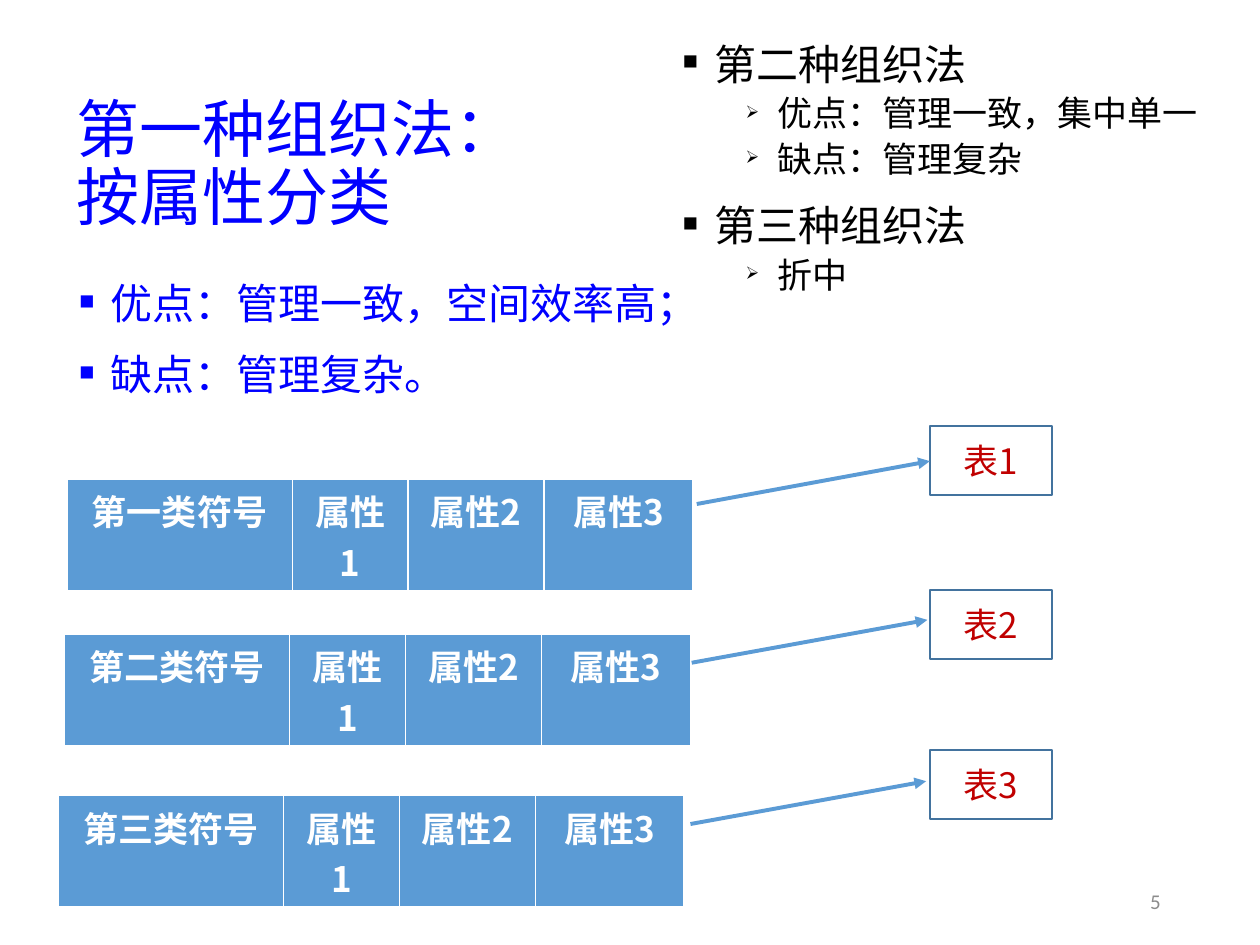
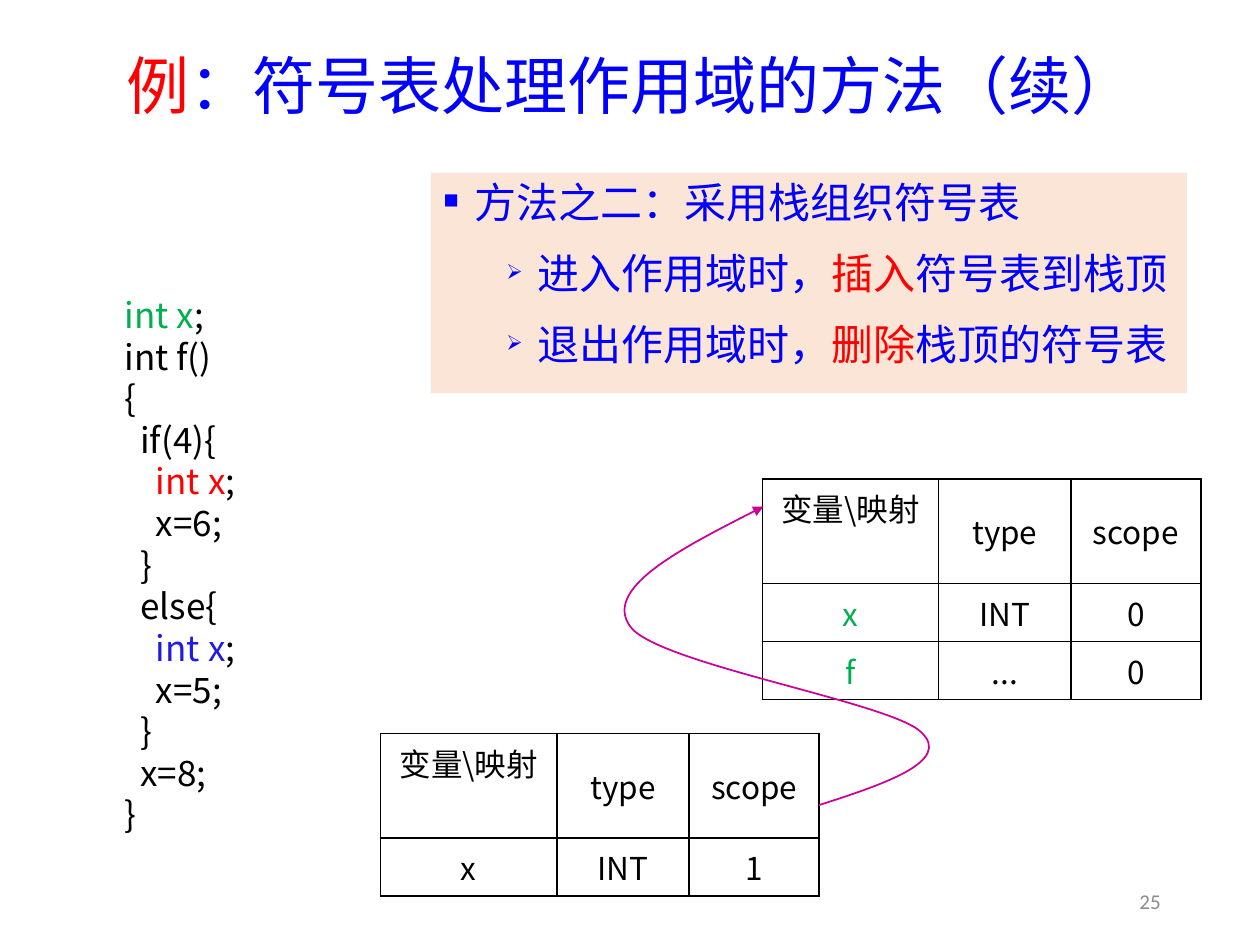
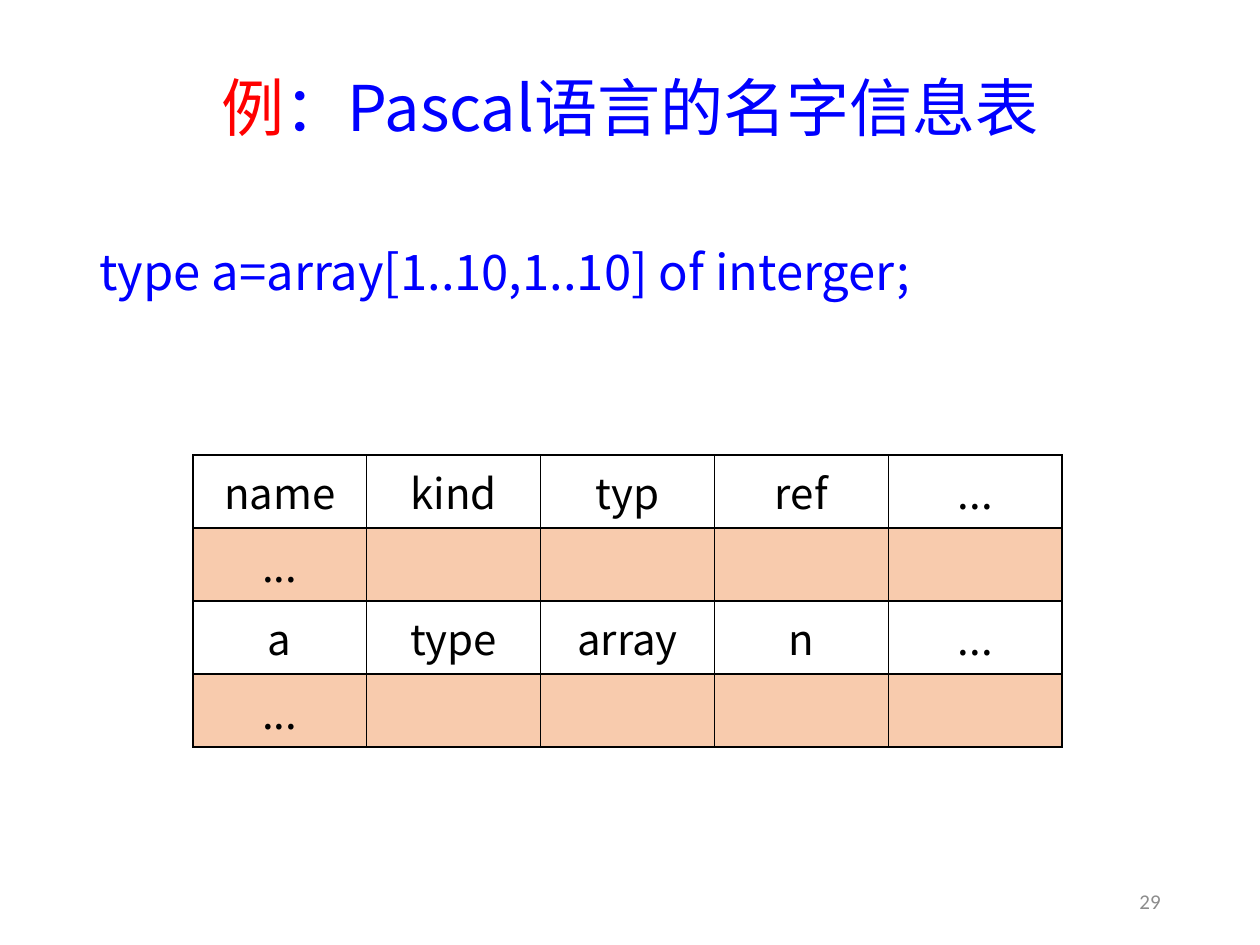
from dataclasses import dataclass
from typing import NamedTuple

from lxml.etree import SubElement
from pptx import Presentation
from pptx.dml.color import RGBColor
from pptx.enum.shapes import MSO_CONNECTOR, MSO_SHAPE
from pptx.enum.text import MSO_ANCHOR, PP_ALIGN
from pptx.oxml.ns import qn
from pptx.util import Inches, Pt

COLORS = {
    "black": "000000",
    "white": "FFFFFF",
    "blue": "0000FF",
    "red": "FF0000",
    "green": "00B050",
    "indigo": "1E1CE3",
    "dark_red": "C00000",
    "gray": "8C8C8C",
    "header": "5B9BD5",
    "outline": "43739E",
    "magenta": "CC0099",
    "peach": "FBE5D6",
    "orange": "F8CBAD",
}
TITLE_FONT = "Noto Sans CJK JP"
BODY_FONT = "Noto Sans CJK SC"
NUMBER_FONT = "Calibri"
TITLE_SPACING = 0.9
BODY_SPACING = 0.99
BULLETS = ("■", "➢")


class Box(NamedTuple):
    left: float
    top: float
    width: float
    height: float


class Piece(NamedTuple):
    text: str
    color: str = "black"


@dataclass
class Line:
    pieces: list[Piece]
    size: float
    font: str = BODY_FONT
    bold: bool = False
    align: PP_ALIGN = PP_ALIGN.LEFT
    spacing: float | None = None
    before: float = 0
    after: float = 0
    indent: float = 0
    bullet: str = ""


@dataclass
class TableStyle:
    size: float
    color: str = "black"
    border: str = "black"
    bottom_width: float = 1
    bold: bool = False
    anchor: MSO_ANCHOR = MSO_ANCHOR.TOP


@dataclass
class SymbolClass:
    name: str
    target: str
    left: float
    top: float
    target_top: float
    arrow_start: tuple[float, float]
    arrow_end: tuple[float, float]


def rgb(name: str) -> RGBColor:
    return RGBColor.from_string(COLORS[name])


def inches(box: Box) -> list[Inches]:
    return [Inches(value) for value in box]


def fill_paragraph(paragraph, line: Line) -> None:
    paragraph.alignment = line.align
    paragraph.line_spacing = line.spacing
    paragraph.space_before = Pt(line.before)
    paragraph.space_after = Pt(line.after)
    if line.indent:
        properties = paragraph._p.get_or_add_pPr()
        properties.set("marL", str(Inches(line.indent)))
        properties.set("indent", str(Inches(-0.25)))
        if line.bullet:
            SubElement(properties, qn("a:buSzPct"), val="50000")
            SubElement(properties, qn("a:buChar"), char=line.bullet)
    for piece in line.pieces:
        run = paragraph.add_run()
        run.text = piece.text
        run.font.size = Pt(line.size)
        run.font.name = line.font
        run.font.bold = line.bold
        run.font.color.rgb = rgb(piece.color)
        SubElement(run._r.get_or_add_rPr(), qn("a:ea"), typeface=line.font)


def fill_frame(text_frame, lines: list[Line]) -> None:
    text_frame.word_wrap = True
    for index, line in enumerate(lines):
        paragraph = text_frame.add_paragraph() if index else text_frame.paragraphs[0]
        fill_paragraph(paragraph, line)


def add_text(slide, box: Box, lines: list[Line], anchor=MSO_ANCHOR.TOP):
    shape = slide.shapes.add_textbox(*inches(box))
    shape.text_frame.vertical_anchor = anchor
    fill_frame(shape.text_frame, lines)
    return shape


def add_title(slide, box: Box, pieces: list[Piece], align=PP_ALIGN.CENTER) -> None:
    line = Line(pieces, 36, TITLE_FONT, align=align, spacing=TITLE_SPACING)
    add_text(slide, box, [line], MSO_ANCHOR.MIDDLE)


def add_page_number(slide, number: int) -> None:
    line = Line([Piece(str(number), "gray")], 12, NUMBER_FONT, align=PP_ALIGN.RIGHT)
    add_text(slide, Box(7.06, 6.95, 2.25, 0.4), [line], MSO_ANCHOR.MIDDLE)


def list_line(pieces: list[Piece], level: int = 0, size: float = 24,
              before: float = 6, after: float = 6) -> Line:
    return Line(pieces, size, spacing=BODY_SPACING, before=before, after=after,
                indent=0.25 + 0.5 * level, bullet=BULLETS[level])


def set_borders(cell, style: TableStyle) -> None:
    properties = cell._tc.get_or_add_tcPr()
    for side in "LRTB":
        width = style.bottom_width if side == "B" else 1
        border = SubElement(properties, qn(f"a:ln{side}"), w=str(Pt(width)))
        fill = SubElement(border, qn("a:solidFill"))
        SubElement(fill, qn("a:srgbClr"), val=COLORS[style.border])


def add_grid(slide, left: float, top: float, columns: list[float], row_heights: list[float],
             rows: list[list[str]], style: TableStyle, row_fills: dict[int, str],
             name_colors: dict[int, str]) -> None:
    """Draw a table; fills and first-column text colours are given by row index."""
    box = Box(left, top, sum(columns), sum(row_heights))
    table = slide.shapes.add_table(len(rows), len(columns), *inches(box)).table
    table.first_row = table.horz_banding = False
    for column, width in zip(table.columns, columns):
        column.width = Inches(width)
    for table_row, height in zip(table.rows, row_heights):
        table_row.height = Inches(height)
    for row_index, row in enumerate(rows):
        for column_index, text in enumerate(row):
            cell = table.cell(row_index, column_index)
            cell.vertical_anchor = style.anchor if column_index else MSO_ANCHOR.TOP
            set_borders(cell, style)
            if row_index in row_fills:
                cell.fill.solid()
                cell.fill.fore_color.rgb = rgb(row_fills[row_index])
            else:
                cell.fill.background()
            if text:
                color = style.color if column_index else name_colors.get(row_index, style.color)
                line = Line([Piece(text, color)], style.size, bold=style.bold,
                            align=PP_ALIGN.CENTER)
                fill_paragraph(cell.text_frame.paragraphs[0], line)


def style_arrow(shape, color: str, width: float) -> None:
    shape.line.color.rgb = rgb(color)
    shape.line.width = Pt(width)
    properties = shape._element.spPr
    SubElement(properties.find(qn("a:ln")), qn("a:tailEnd"), type="triangle")
    SubElement(properties, qn("a:effectLst"))


def add_arrow(slide, start: tuple[float, float], end: tuple[float, float]) -> None:
    points = [Inches(value) for value in (*start, *end)]
    arrow = slide.shapes.add_connector(MSO_CONNECTOR.STRAIGHT, *points)
    style_arrow(arrow, "header", 2.25)


def add_curved_arrow(slide, points: list[tuple[float, float]]) -> None:
    """Draw cubic curves: a start point, then two controls and an end for each curve."""
    start, *others = [(Inches(x), Inches(y)) for x, y in points]
    builder = slide.shapes.build_freeform(*start)
    builder.add_line_segments(others, close=False)
    shape = builder.convert_to_shape()
    shape.fill.background()
    path = next(shape._element.iter(qn("a:path")))
    segments = path.findall(qn("a:lnTo"))
    for first in range(0, len(segments), 3):
        curve = SubElement(path, qn("a:cubicBezTo"))
        for segment in segments[first:first + 3]:
            curve.append(segment[0])
            path.remove(segment)
    style_arrow(shape, "magenta", 1)


def add_target(slide, text: str, top: float) -> None:
    shape = slide.shapes.add_shape(MSO_SHAPE.RECTANGLE, *inches(Box(7.38, top, 0.97, 0.55)))
    shape.shadow.inherit = False
    shape.fill.background()
    shape.line.color.rgb = rgb("outline")
    shape.line.width = Pt(1)
    shape.text_frame.vertical_anchor = MSO_ANCHOR.MIDDLE
    fill_frame(shape.text_frame, [Line([Piece(text, "dark_red")], 20, align=PP_ALIGN.CENTER)])


def build_organization_slide(slide) -> None:
    add_title(slide, Box(0.51, 0.77, 3.96, 1.1),
              [Piece("第一种组织法：按属性分类", "blue")], PP_ALIGN.LEFT)
    features = ["优点：管理一致，空间效率高；", "缺点：管理复杂。"]
    add_text(slide, Box(0.53, 2.17, 5.2, 1.1),
             [list_line([Piece(text, "blue")], before=6 if index else 0)
              for index, text in enumerate(features)])
    add_page_number(slide, 5)

    style = TableStyle(20, "white", "white", bottom_width=3, bold=True)
    symbol_classes = [
        SymbolClass("第一类符号", "表1", 0.53, 3.8, 3.38, (5.53, 4), (7.38, 3.66)),
        SymbolClass("第二类符号", "表2", 0.51, 5.03, 4.68, (5.49, 5.26), (7.36, 4.92)),
        SymbolClass("第三类符号", "表3", 0.46, 6.31, 5.95, (5.48, 6.54), (7.35, 6.2)),
    ]
    for symbol in symbol_classes:
        add_grid(slide, symbol.left, symbol.top, [1.79, 0.92, 1.08, 1.18], [0.9],
                 [[symbol.name, "属性1", "属性2", "属性3"]], style, {0: "header"}, {})
        add_target(slide, symbol.target, symbol.target_top)
        add_arrow(slide, symbol.arrow_start, symbol.arrow_end)

    alternatives = [
        ("第二种组织法", 0, 2),
        ("优点：管理一致，集中单一", 1, 2),
        ("缺点：管理复杂", 1, 12),
        ("第三种组织法", 0, 2),
        ("折中", 1, 2),
    ]
    add_text(slide, Box(5.32, 0.27, 4.48, 2.21),
             [list_line([Piece(text)], level, 24 - 4 * level, 0, after)
              for text, level, after in alternatives])


def build_scope_slide(slide) -> None:
    add_title(slide, Box(0.69, 0.29, 8.62, 0.84),
              [Piece("例", "red"), Piece("：符号表处理作用域的方法（续）", "blue")])
    steps = [("进入作用域时，", "插入", "符号表到栈顶"), ("退出作用域时，", "删除", "栈顶的符号表")]
    method = [list_line([Piece("方法之二：采用栈组织符号表", "blue")], before=0)]
    for opening, action, ending in steps:
        method.append(list_line(
            [Piece(opening, "blue"), Piece(action, "red"), Piece(ending, "blue")], level=1))
    panel = add_text(slide, Box(3.42, 1.37, 6, 1.75), method)
    panel.fill.solid()
    panel.fill.fore_color.rgb = rgb("peach")
    add_page_number(slide, 25)

    code = [
        [Piece("int x", "green"), Piece(";")],
        [Piece("int f()")],
        [Piece("{")],
        [Piece("  if(4){")],
        [Piece("    "), Piece("int x", "red"), Piece(";")],
        [Piece("    x=6;")],
        [Piece("  }")],
        [Piece("  else{")],
        [Piece("    "), Piece("int x", "indigo"), Piece(";")],
        [Piece("    x=5;")],
        [Piece("  }")],
        [Piece("  x=8;")],
        [Piece("}")],
    ]
    add_text(slide, Box(0.89, 2.21, 1.85, 4.56),
             [Line(pieces, 20, spacing=BODY_SPACING) for pieces in code], MSO_ANCHOR.MIDDLE)

    style = TableStyle(18, anchor=MSO_ANCHOR.MIDDLE)
    columns = [1.4, 1.05, 1.03]
    header = ["变量\\映射", "type", "scope"]
    header_height, row_height = 0.83, 0.46
    add_grid(slide, 3.02, 5.82, columns, [header_height, row_height],
             [header, ["x", "INT", "1"]], style, {}, {})
    add_grid(slide, 6.05, 3.8, columns, [header_height, row_height, row_height],
             [header, ["x", "INT", "0"], ["f", "...", "0"]], style, {}, {1: "green", 2: "green"})
    add_curved_arrow(slide, [
        (6.5, 6.39),
        (7.03, 6.22), (7.56, 6.04), (7.31, 5.81),
        (7.06, 5.57), (5.21, 5.27), (5, 4.97),
        (4.79, 4.67), (5.43, 4.34), (6.06, 4.02),
    ])


def build_name_table_slide(slide) -> None:
    add_title(slide, Box(0.69, 0.4, 8.62, 0.96),
              [Piece("例", "red"), Piece("：Pascal语言的名字信息表", "blue")])
    add_page_number(slide, 29)
    declaration = Line([Piece("type a=array[1..10,1..10] of interger;", "blue")], 28,
                       spacing=BODY_SPACING, after=6, indent=0.25)
    add_text(slide, Box(0.69, 1.89, 8.62, 0.85), [declaration])
    gap_row = ["...", "", "", "", ""]
    rows = [["name", "kind", "typ", "ref", "..."], gap_row,
            ["a", "type", "array", "n", "..."], gap_row]
    add_grid(slide, 1.53, 3.61, [1.38] * 5, [0.58] * 4, rows, TableStyle(24),
             {1: "orange", 3: "orange"}, {})


def main() -> None:
    presentation = Presentation()
    presentation.slide_width = Inches(10)
    presentation.slide_height = Inches(7.5)
    blank_layout = presentation.slide_layouts[6]
    for build in (build_organization_slide, build_scope_slide, build_name_table_slide):
        build(presentation.slides.add_slide(blank_layout))
    presentation.save("out.pptx")


if __name__ == "__main__":
    main()
